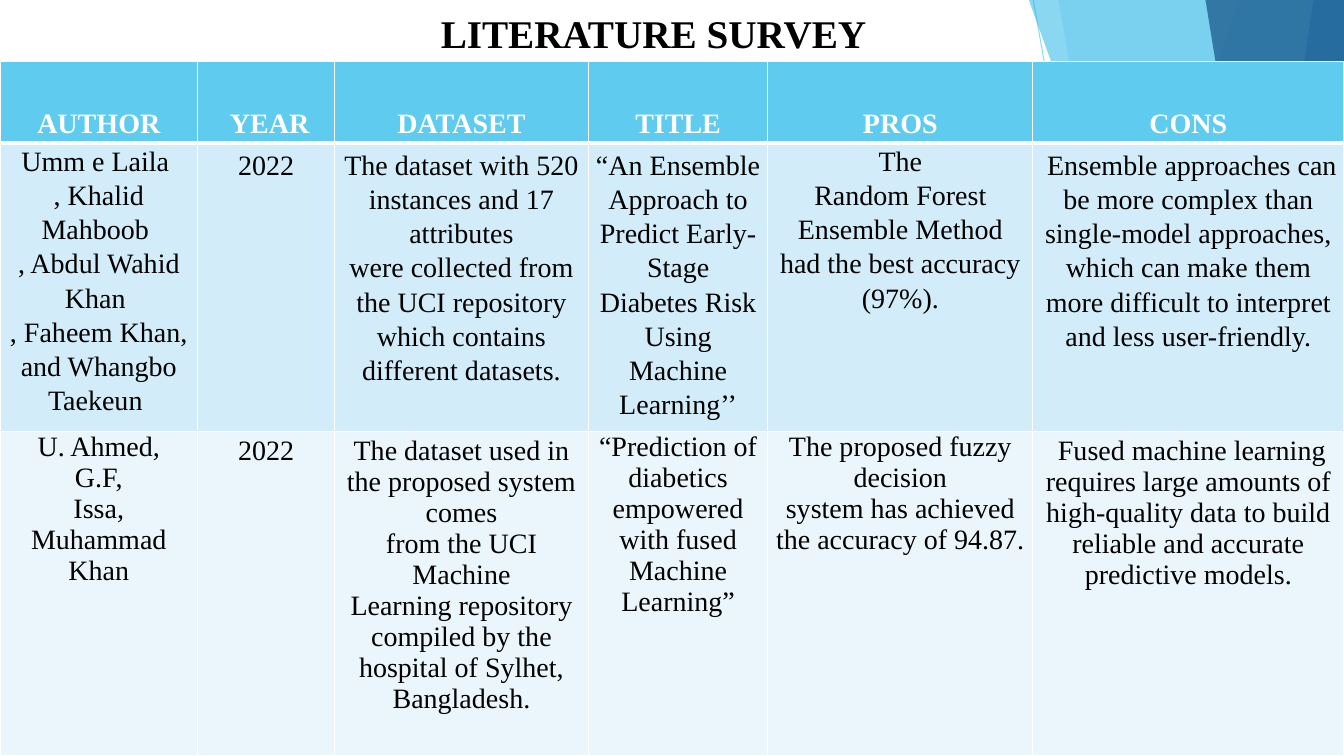
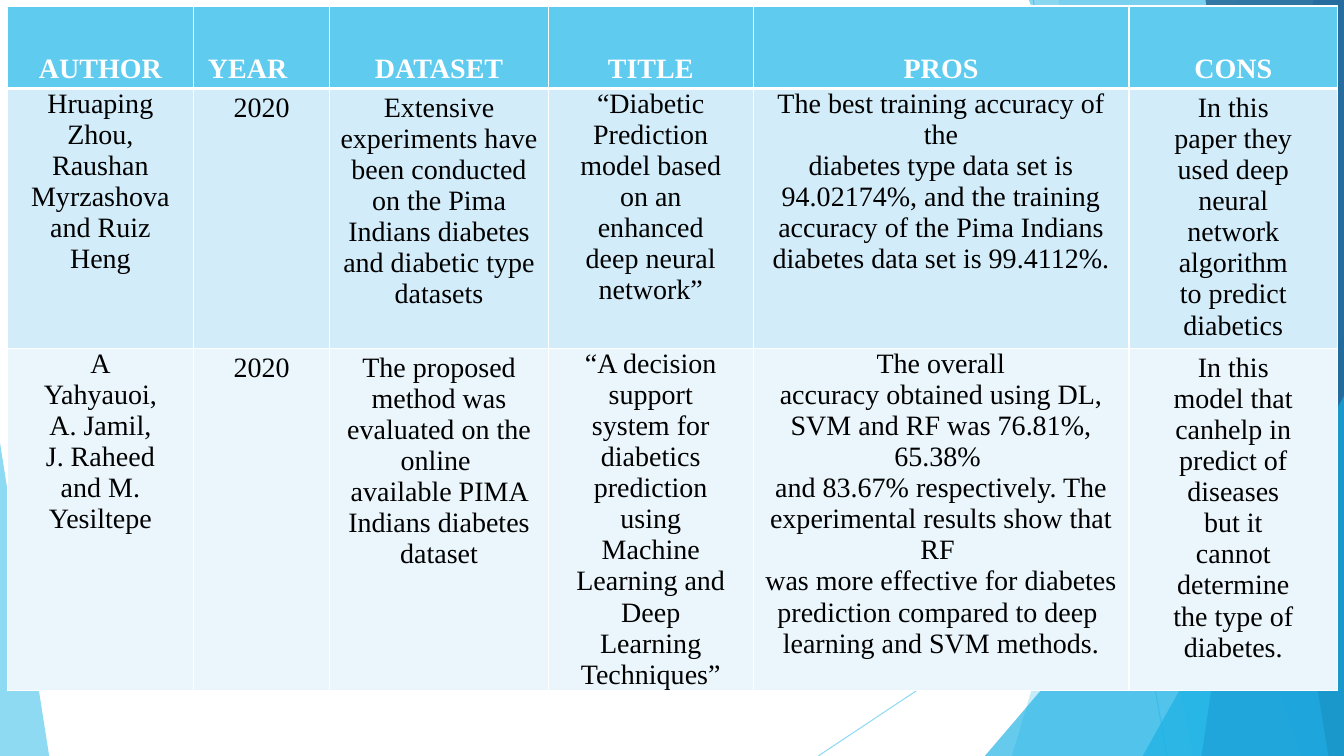
import pptx
import pptx.dml.color
import pptx.enum.shapes
import pptx.enum.text
import pptx.oxml
import pptx.oxml.ns
import pptx.util
from pptx.util import Cm

WIDTH, HEIGHT = 33.87, 19.05
FONT = "Times New Roman"
SKY, CYAN, BLUE, NAVY = "5FCBEF", "17B0E4", "2E83C3", "226292"
WHITE, BLACK = "FFFFFF", "000000"
BODY_FILLS = ["D2ECF9", "EAF6FC"]
INSET, TOP_INSET = 0.18, 0.1

HEADINGS = ["AUTHOR", "YEAR", "DATASET", "TITLE", "PROS", "CONS"]
HEAD_FORMAT = {"name": FONT, "size": pptx.util.Pt(20), "bold": True}
BODY_FORMAT = {**HEAD_FORMAT, "bold": False}
TITLE_FORMAT = {**HEAD_FORMAT, "size": pptx.util.Pt(28)}

# Start and end of each thin line
RAYS = [(26.04, 0, 29.41, HEIGHT), (WIDTH, 10.24, 20.62, HEIGHT)]
# Panels reach the right edge: top x, bottom x, colour, opacity.
# Triangles stand on the bottom edge: left, top, width, apex, colour, opacity.
FACETS = [
    ("panel", 31.19, 25.5, SKY, 36),
    ("panel", 26.67, 30.05, SKY, 20),
    ("triangle", 24.82, 8.46, 9.05, 1, CYAN, 66),
    ("panel", 25.93, 32.79, CYAN, 50),
    ("panel", 33.1, 30.28, BLUE, 70),
    ("panel", 30.38, 33.48, NAVY, 80),
    ("triangle", 28.8, 9.98, 5.07, 1, CYAN, 66),
    ("triangle", 0, 11.15, 1.24, 0, SKY, 70),
]

# "flush" lists the columns whose text starts at the very top of the cell.
SURVEYS = [
    {
        "title": "LITERATURE SURVEY",
        "corner": (0, 1.55),
        "columns": [4.98, 3.45, 6.4, 4.52, 6.68, 7.84],
        "heights": [2.06, 7.26, 8.18],
        "studies": [
            {"spacing": 1.1, "flush": ["AUTHOR", "PROS"], "cells": [
                "Umm e Laila \n, Khalid Mahboob \n, Abdul Wahid Khan \n"
                ", Faheem Khan, and Whangbo Taekeun ",
                "2022",
                "The dataset with 520 instances and 17 attributes\n"
                "were collected from the UCI repository which contains different datasets.",
                "“An Ensemble Approach to Predict Early-Stage Diabetes Risk\n"
                "Using Machine Learning’’",
                "The\nRandom Forest Ensemble Method had the best accuracy (97%).",
                " Ensemble approaches can be more complex than single-model approaches, "
                "which can make them more difficult to interpret and less user-friendly.",
            ]},
            {"spacing": 1.0, "flush": ["AUTHOR", "TITLE", "PROS"], "cells": [
                "U. Ahmed,\nG.F,\nIssa,\nMuhammad\nKhan",
                "2022",
                "The dataset used in the proposed system comes\nfrom the UCI Machine\n"
                "Learning repository compiled by the hospital of Sylhet,\nBangladesh.",
                "“Prediction of\ndiabetics\nempowered\nwith fused\nMachine\nLearning”",
                "The proposed fuzzy decision\nsystem has achieved the accuracy of 94.87.",
                " Fused machine learning requires large amounts of high-quality data "
                "to build reliable and accurate predictive models.",
            ]},
        ],
    },
    {
        "corner": (0.18, 0.15),
        "columns": [4.7, 3.43, 5.51, 5.16, 9.47, 5.26],
        "heights": [2.08, 6.55, 8.61],
        "left_headings": ["YEAR"],
        "studies": [
            {"spacing": 1.0, "flush": ["AUTHOR", "TITLE", "PROS"], "cells": [
                "Hruaping\nZhou,\nRaushan\nMyrzashova\nand Ruiz\nHeng",
                "2020",
                "Extensive experiments have been conducted on the Pima Indians diabetes "
                "and diabetic type datasets",
                "“Diabetic\nPrediction\nmodel based\non an\nenhanced\ndeep neural\nnetwork”",
                "The best training accuracy of the\n"
                "diabetes type data set is 94.02174%, and the training accuracy of the "
                "Pima Indians\ndiabetes data set is 99.4112%.",
                "In this\npaper they\nused deep\nneural\nnetwork\nalgorithm\nto predict\ndiabetics",
            ]},
            {"spacing": 1.0, "flush": ["AUTHOR", "TITLE", "PROS"], "cells": [
                "A\nYahyauoi,\nA. Jamil,\nJ. Raheed\nand M.\nYesiltepe",
                "2020",
                "The proposed method was evaluated on the online \n"
                "available PIMA Indians diabetes dataset",
                "“A decision\nsupport\nsystem for\ndiabetics\nprediction\nusing\nMachine\n"
                "Learning and\nDeep\nLearning\nTechniques”",
                " The overall \naccuracy obtained using DL, SVM and RF was 76.81%, 65.38% \n"
                "and 83.67% respectively. The experimental results show that RF \n"
                "was more effective for diabetes prediction compared to deep \n"
                "learning and SVM methods.",
                "In this\nmodel that\ncanhelp in\npredict of\ndiseases\nbut it\ncannot\n"
                "determine\nthe type of\ndiabetes.",
            ]},
        ],
    },
]


def paint(target, color):
    """Give a fill a solid colour, or a font its colour."""
    if hasattr(target, "solid"):
        target.solid()
        target = target.fore_color
    else:
        target = target.color
    target.rgb = pptx.dml.color.RGBColor.from_string(color)


def set_opacity(shape, percent):
    for color in shape._element.spPr.iter(pptx.oxml.ns.qn("a:srgbClr")):
        pptx.oxml.ns  # namespace helpers serve both lookups
        alpha = color.makeelement(pptx.oxml.ns.qn("a:alpha"), {"val": str(percent * 1000)})
        color.append(alpha)


def write(frame, text, formats, color, align, spacing=1.0):
    """Fill a text frame, one paragraph for each line of the text."""
    for index, line in enumerate(text.split("\n")):
        para = frame.add_paragraph() if index else frame.paragraphs[0]
        para.alignment = align
        para.line_spacing = spacing
        span = para.add_run()
        span.text = line
        for name, value in formats.items():
            setattr(span.font, name, value)
        paint(span.font, color)


def add_ray(shapes, ends):
    ray = shapes.add_connector(
        pptx.enum.shapes.MSO_CONNECTOR.STRAIGHT, *(Cm(end) for end in ends))
    paint(ray.line.fill, SKY)
    ray.line.width = pptx.util.Pt(0.75)
    set_opacity(ray, 70)
    properties = ray._element.spPr
    properties.append(properties.makeelement(pptx.oxml.ns.qn("a:effectLst"), {}))


def add_facet(shapes, kind, *values):
    *place, color, opacity = values
    if kind == "panel":
        top_x, bottom_x = place
        outline = shapes.build_freeform(Cm(top_x), 0)
        corners = [(WIDTH, 0), (WIDTH, HEIGHT), (bottom_x, HEIGHT)]
        outline.add_line_segments([(Cm(x), Cm(y)) for x, y in corners], close=True)
        facet = outline.convert_to_shape()
    else:
        left, top, width, apex = place
        facet = shapes.add_shape(
            pptx.enum.shapes.MSO_SHAPE.ISOSCELES_TRIANGLE,
            Cm(left), Cm(top), Cm(width), Cm(HEIGHT - top))
        facet.adjustments[0] = apex
    facet.shadow.inherit = False
    facet.line.fill.background()
    paint(facet.fill, color)
    set_opacity(facet, opacity)


def add_backdrop(page):
    """Draw the translucent facets that every slide shares."""
    shapes = page.shapes.add_group_shape().shapes
    for ends in RAYS:
        add_ray(shapes, ends)
    for facet in FACETS:
        add_facet(shapes, *facet)


def add_title(page, text, left, top, width, height):
    box = page.shapes.add_textbox(Cm(left), Cm(top), Cm(width), Cm(height))
    box.text_frame.word_wrap = True
    write(box.text_frame, text, TITLE_FORMAT, BLACK, pptx.enum.text.PP_ALIGN.LEFT)


def set_borders(cell, top, bottom):
    """Draw white cell borders; top and bottom are widths in points."""
    properties = cell._tc.get_or_add_tcPr()
    for side, points in {"L": 1, "R": 1, "T": top, "B": bottom}.items():
        properties.append(pptx.oxml.parse_xml(
            f'<a:ln{side} {pptx.oxml.ns.nsdecls("a")} w="{points * 12700}">'
            f'<a:solidFill><a:srgbClr val="{WHITE}"/></a:solidFill></a:ln{side}>'))


def style_cell(cell, fill, borders, formats):
    set_borders(cell, *borders)
    paint(cell.fill, fill)
    for name, value in formats.items():
        setattr(cell, name, value)


def add_survey_table(page, survey):
    left, top = survey["corner"]
    columns, heights = survey["columns"], survey["heights"]
    table = page.shapes.add_table(
        len(heights), len(columns), Cm(left), Cm(top),
        Cm(sum(columns)), Cm(sum(heights))).table
    table.first_row = table.horz_banding = False
    for column, width in zip(table.columns, columns):
        column.width = Cm(width)
    for row, height in zip(table.rows, heights):
        row.height = Cm(height)

    align = pptx.enum.text.PP_ALIGN
    anchor = pptx.enum.text.MSO_ANCHOR
    insets = {"margin_left": Cm(INSET), "margin_right": Cm(INSET),
              "margin_top": Cm(TOP_INSET), "margin_bottom": Cm(TOP_INSET)}
    for column, heading in enumerate(HEADINGS):
        cell = table.cell(0, column)
        indent = 2 * INSET if heading == "YEAR" else INSET
        style_cell(cell, SKY, (1, 3), {
            **insets, "margin_left": Cm(indent), "vertical_anchor": anchor.BOTTOM})
        side = align.LEFT if heading in survey.get("left_headings", []) else align.CENTER
        write(cell.text_frame, heading, HEAD_FORMAT, WHITE, side)

        for row, study in enumerate(survey["studies"], 1):
            cell = table.cell(row, column)
            inset = Cm(0 if heading in study["flush"] else TOP_INSET)
            style_cell(cell, BODY_FILLS[row - 1], (3 if row == 1 else 1, 1), {
                **insets, "margin_top": inset, "margin_bottom": inset,
                "vertical_anchor": anchor.TOP})
            write(cell.text_frame, study["cells"][column], BODY_FORMAT, BLACK,
                  align.CENTER, study["spacing"])


def add_survey_slide(deck, survey):
    page = deck.slides.add_slide(deck.slide_layouts[6])
    add_backdrop(page)
    add_survey_table(page, survey)
    if "title" in survey:
        add_title(page, survey["title"], 10.86, 0.1, 12.4, 1.45)


def main():
    deck = pptx.Presentation()
    deck.slide_width, deck.slide_height = Cm(WIDTH), Cm(HEIGHT)
    for survey in SURVEYS:
        add_survey_slide(deck, survey)
    deck.save("out.pptx")


if __name__ == "__main__":
    main()
